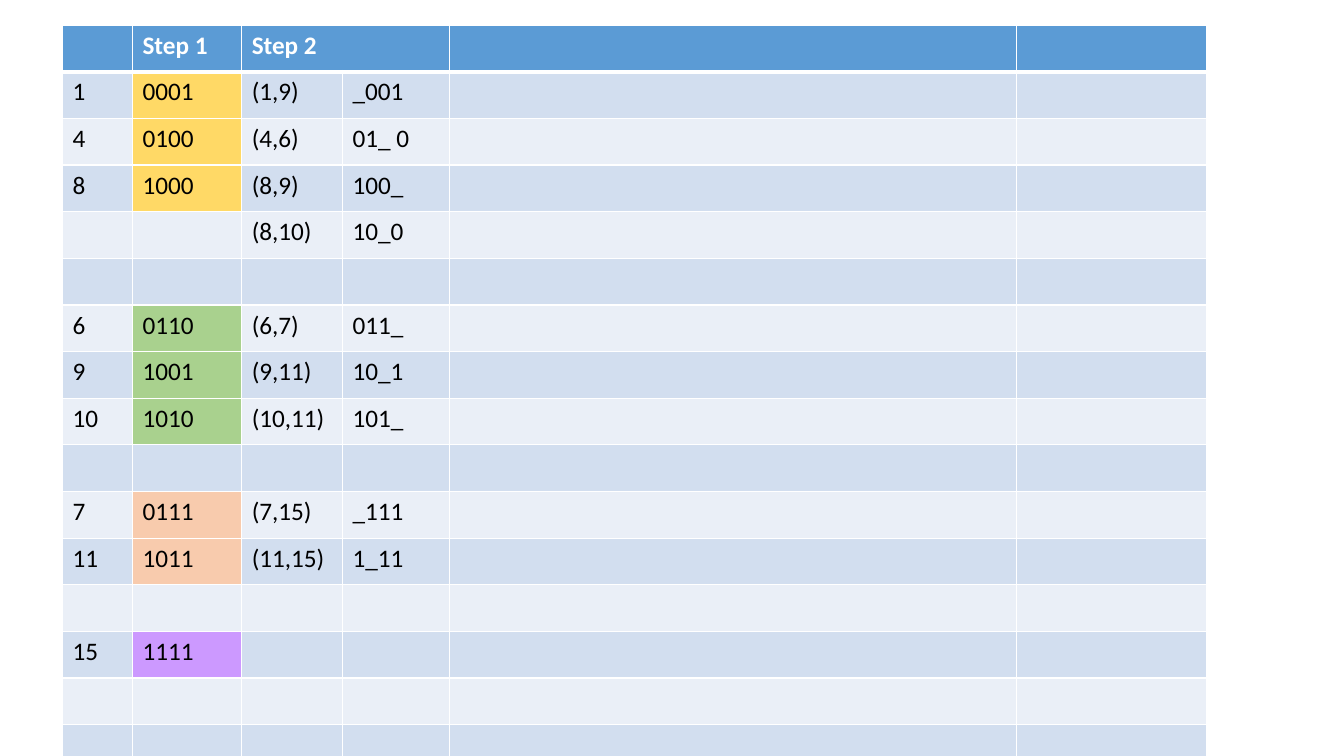
"""Build the slide with the minterm grouping table."""
from dataclasses import dataclass

from lxml.etree import SubElement
from pptx import Presentation
from pptx.dml.color import RGBColor
from pptx.oxml.ns import qn
from pptx.slide import Slide
from pptx.table import Table, _Cell
from pptx.util import Emu, Pt

PX_PER_INCH = 108


def px(n: int) -> Emu:
    return Emu(round(n * 914400 / PX_PER_INCH))


@dataclass(frozen=True)
class Theme:
    font: str = "Calibri"
    size: int = 18
    header: str = "5B9BD5"
    bands: tuple[str, str] = ("D2DEEF", "EAEFF7")
    white: str = "FFFFFF"
    black: str = "000000"
    one_bit: str = "FFD966"
    two_bits: str = "A9D18E"
    three_bits: str = "F8CBAD"
    four_bits: str = "CC99FF"
    thin: int = 1
    thick: int = 3


@dataclass(frozen=True)
class Row:
    minterm: str = ""
    binary: str = ""
    pair: str = ""
    merged: str = ""
    group_fill: str = ""


THEME = Theme()
LEFT, TOP, ROW_HEIGHT = 67, 27, 50
COLUMN_WIDTHS = (75, 117, 108, 115, 607, 204)
HEADER = Row(binary="Step 1", pair="Step 2")
ROWS = (
    Row("1", "0001", "(1,9)", "_001", THEME.one_bit),
    Row("4", "0100", "(4,6)", "01_ 0", THEME.one_bit),
    Row("8", "1000", "(8,9)", "100_", THEME.one_bit),
    Row(pair="(8,10)", merged="10_0"),
    Row(),
    Row("6", "0110", "(6,7)", "011_", THEME.two_bits),
    Row("9", "1001", "(9,11)", "10_1", THEME.two_bits),
    Row("10", "1010", "(10,11)", "101_", THEME.two_bits),
    Row(),
    Row("7", "0111", "(7,15)", "_111", THEME.three_bits),
    Row("11", "1011", "(11,15)", "1_11", THEME.three_bits),
    Row(),
    Row("15", "1111", group_fill=THEME.four_bits),
    Row(),
    Row(),
)


def set_borders(cell: _Cell, top: int, bottom: int) -> None:
    tc_pr = cell._tc.get_or_add_tcPr()
    widths = {"a:lnL": THEME.thin, "a:lnR": THEME.thin, "a:lnT": top, "a:lnB": bottom}
    for i, (tag, width) in enumerate(widths.items()):
        ln = SubElement(tc_pr, qn(tag), w=str(Pt(width)))
        fill = SubElement(ln, qn("a:solidFill"))
        SubElement(fill, qn("a:srgbClr"), val=THEME.white)
        tc_pr.insert(i, ln)


def fill_cell(cell: _Cell, text: str, fill: str, is_header: bool) -> None:
    cell.fill.solid()
    cell.fill.fore_color.rgb = RGBColor.from_string(fill)
    if text:
        p = cell.text_frame.paragraphs[0]
        r = p.add_run()
        r.text = text
        r.font.name = THEME.font
        r.font.size = Pt(THEME.size)
        r.font.bold = is_header
        r.font.color.rgb = RGBColor.from_string(THEME.white if is_header else THEME.black)


def draw_row(table: Table, i: int, row: Row) -> None:
    is_header = i == 0
    base = THEME.header if is_header else THEME.bands[(i - 1) % 2]
    texts = (row.minterm, row.binary, row.pair, row.merged, "", "")
    for j, text in enumerate(texts):
        cell = table.cell(i, j)
        fill = row.group_fill if j == 1 and row.group_fill else base
        fill_cell(cell, text, fill, is_header)
        set_borders(cell, THEME.thick if i == 1 else THEME.thin,
                    THEME.thick if is_header else THEME.thin)


def draw_table(s: Slide) -> None:
    rows = (HEADER, *ROWS)
    frame = s.shapes.add_table(len(rows), len(COLUMN_WIDTHS), px(LEFT), px(TOP),
                               px(sum(COLUMN_WIDTHS)), px(ROW_HEIGHT * len(rows)))
    table = frame.table
    for column, width in zip(table.columns, COLUMN_WIDTHS):
        column.width = px(width)
    for i, row in enumerate(rows):
        table.rows[i].height = px(ROW_HEIGHT)
        draw_row(table, i, row)
    table.cell(0, 2).merge(table.cell(0, 3))


def main() -> None:
    prs = Presentation()
    prs.slide_width, prs.slide_height = px(1440), px(810)
    s = prs.slides.add_slide(prs.slide_layouts[6])
    draw_table(s)
    prs.save("out.pptx")


if __name__ == "__main__":
    main()
